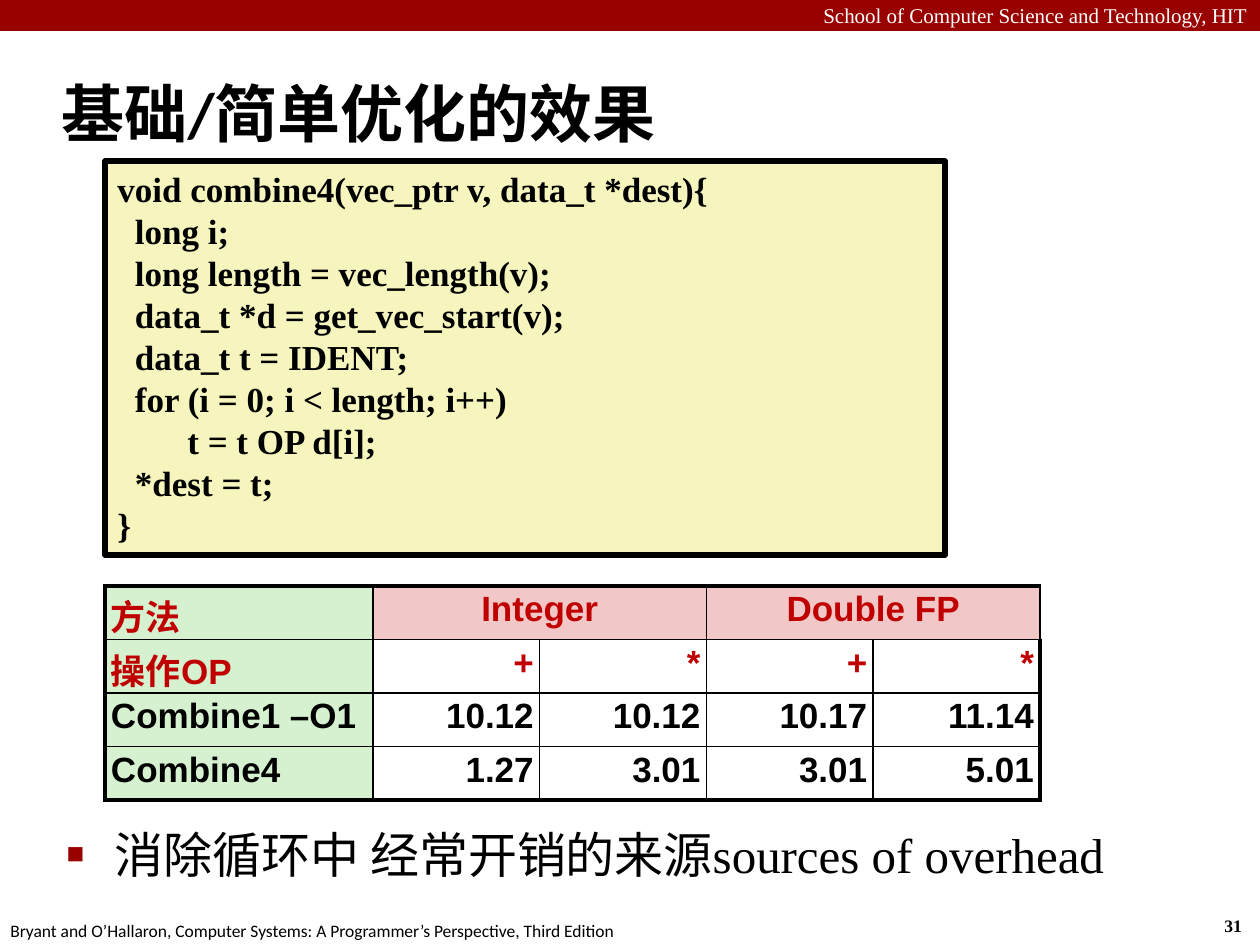
from dataclasses import dataclass

from lxml.etree import SubElement
from pptx import Presentation
from pptx.dml.color import RGBColor
from pptx.enum.shapes import MSO_SHAPE as Shape
from pptx.enum.text import MSO_ANCHOR as Anchor, MSO_AUTO_SIZE as AutoSize, PP_ALIGN as Align
from pptx.oxml.ns import qn
from pptx.util import Emu, Pt

PX = 914400 / 126


def px(length):
    return Emu(round(length * PX))


@dataclass(frozen=True)
class Theme:
    black: str = "000000"
    white: str = "FFFFFF"
    banner: str = "990000"
    accent: str = "C00000"
    code_fill: str = "F6F5BD"
    label_fill: str = "D5F1CF"
    group_fill: str = "F1C7C7"
    serif: str = "Times New Roman"
    sans: str = "Calibri"
    grid: str = "Arial"
    title_size: int = 36
    body_size: int = 28
    code_size: int = 20
    banner_size: int = 12
    footer_size: int = 10
    thin: float = 1
    thick: float = 2.25
    frame: float = 3


def write(frame, text, font, size, color="000000", bold=False, align=Align.LEFT, spacing=None):
    for number, line in enumerate(text.split("\n")):
        para = frame.add_paragraph() if number else frame.paragraphs[0]
        para.alignment = align
        para.space_before = Pt(0)
        if spacing:
            para.line_spacing = spacing
        span = para.add_run()
        span.text = line
        span.font.name = font
        span.font.size = Pt(size)
        span.font.bold = bold
        span.font.color.rgb = RGBColor.from_string(color)


def hang(para, indent):
    properties = para._p.get_or_add_pPr()
    properties.set("marL", str(px(indent)))
    properties.set("indent", str(-px(indent)))
    return properties


class SlideBuilder:
    def __init__(self, deck, theme):
        self.theme = theme
        self.page = deck.slides.add_slide(deck.slide_layouts[1])

    def place(self, holder, area, anchor):
        holder.left, holder.top, holder.width, holder.height = map(px, area)
        frame = holder.text_frame
        frame.word_wrap = True
        frame.auto_size = AutoSize.NONE
        frame.vertical_anchor = anchor
        return frame

    def title(self, text, area):
        frame = self.place(self.page.shapes.title, area, Anchor.MIDDLE)
        hang(frame.paragraphs[0], 16)
        write(frame, text, self.theme.sans, self.theme.title_size, bold=True)

    def bullet(self, text, area):
        frame = self.place(self.page.placeholders[1], area, Anchor.TOP)
        properties = hang(frame.paragraphs[0], 48)
        color = SubElement(properties, qn("a:buClr"))
        SubElement(color, qn("a:srgbClr"), val=self.theme.banner)
        SubElement(properties, qn("a:buSzPct"), val="60000")
        SubElement(properties, qn("a:buChar"), char="■")
        write(frame, text, self.theme.serif, self.theme.body_size)

    def label(self, text, area, wrap=False, **style):
        box = self.page.shapes.add_textbox(*map(px, area))
        box.text_frame.word_wrap = wrap
        write(box.text_frame, text, **style)

    def panel(self, area, fill, outline=None):
        box = self.page.shapes.add_shape(Shape.RECTANGLE, *map(px, area))
        box.shadow.inherit = False
        box.fill.solid()
        box.fill.fore_color.rgb = RGBColor.from_string(fill)
        if outline:
            box.line.color.rgb = RGBColor.from_string(outline)
            box.line.width = Pt(self.theme.frame)
        else:
            box.line.fill.background()
        return box

    def code(self, text, area):
        frame = self.panel(area, self.theme.code_fill, self.theme.black).text_frame
        frame.word_wrap = True
        frame.vertical_anchor = Anchor.TOP
        write(frame, text, self.theme.serif, self.theme.code_size, bold=True)

    def border(self, cell, side, width):
        line = SubElement(cell._tc.get_or_add_tcPr(), qn("a:ln" + side), w=str(Pt(width)))
        fill = SubElement(line, qn("a:solidFill"))
        SubElement(fill, qn("a:srgbClr"), val=self.theme.black)

    def cell(self, cell, text, fill, edges, **style):
        cell.margin_left = cell.margin_right = cell.margin_top = cell.margin_bottom = px(6)
        for side, outer in edges.items():
            self.border(cell, side, self.theme.thick if outer else self.theme.thin)
        if fill:
            cell.fill.solid()
            cell.fill.fore_color.rgb = RGBColor.from_string(fill)
        else:
            cell.fill.background()
        if text:
            write(cell.text_frame, text, self.theme.grid, self.theme.code_size,
                  bold=True, spacing=0.95, **style)

    def table(self, rows, area, first_width):
        theme = self.theme
        last_row, last_column = len(rows) - 1, len(rows[0]) - 1
        table = self.page.shapes.add_table(len(rows), len(rows[0]), *map(px, area)).table
        table.first_row = table.horz_banding = False
        for number, column in enumerate(table.columns):
            column.width = px((area[2] - first_width) / last_column if number else first_width)
        for r, row in enumerate(rows):
            for c, text in enumerate(row):
                if c == 0:
                    fill, align = theme.label_fill, Align.LEFT
                elif r == 0:
                    fill, align = theme.group_fill, Align.CENTER
                else:
                    fill, align = None, Align.RIGHT
                edges = {"L": c == 0, "R": c == last_column, "T": r == 0, "B": r == last_row}
                self.cell(table.cell(r, c), text, fill, edges, align=align,
                          color=theme.accent if r < 2 else theme.black)
        for c in range(1, last_column, 2):
            table.cell(0, c).merge(table.cell(0, c + 1))


CODE = """void combine4(vec_ptr v, data_t *dest){
  long i;
  long length = vec_length(v);
  data_t *d = get_vec_start(v);
  data_t t = IDENT;
  for (i = 0; i < length; i++)
        t = t OP d[i];
  *dest = t;
}"""

RESULTS = [
    ["方法", "Integer", "", "Double FP", ""],
    ["操作OP", "+", "*", "+", "*"],
    ["Combine1 –O1", "10.12", "10.12", "10.17", "11.14"],
    ["Combine4", "1.27", "3.01", "3.01", "5.01"],
]


def main():
    deck = Presentation()
    deck.slide_width, deck.slide_height = px(1260), px(945)
    theme = Theme()
    slide = SlideBuilder(deck, theme)
    slide.panel((0, 0, 1260, 31), theme.banner)
    slide.label("School of Computer Science and Technology, HIT", (0, -4, 1260, 38), wrap=True,
                font=theme.serif, size=theme.banner_size, color=theme.white, align=Align.RIGHT)
    slide.label("31", (1212, 909, 47, 34), font=theme.serif, size=theme.footer_size, bold=True)
    slide.label("Bryant and O’Hallaron, Computer Systems: A Programmer’s Perspective, Third Edition",
                (-2, 914, 640, 34), font=theme.sans, size=theme.footer_size)
    slide.title("基础/简单优化的效果", (49, 60, 1211, 105))
    slide.bullet("消除循环中 经常开销的来源sources of overhead", (54, 818, 1089, 74))
    slide.code(CODE, (105, 161, 840, 394))
    slide.table(RESULTS, (105, 586, 935, 214), 268)
    deck.save("out.pptx")


if __name__ == "__main__":
    main()
